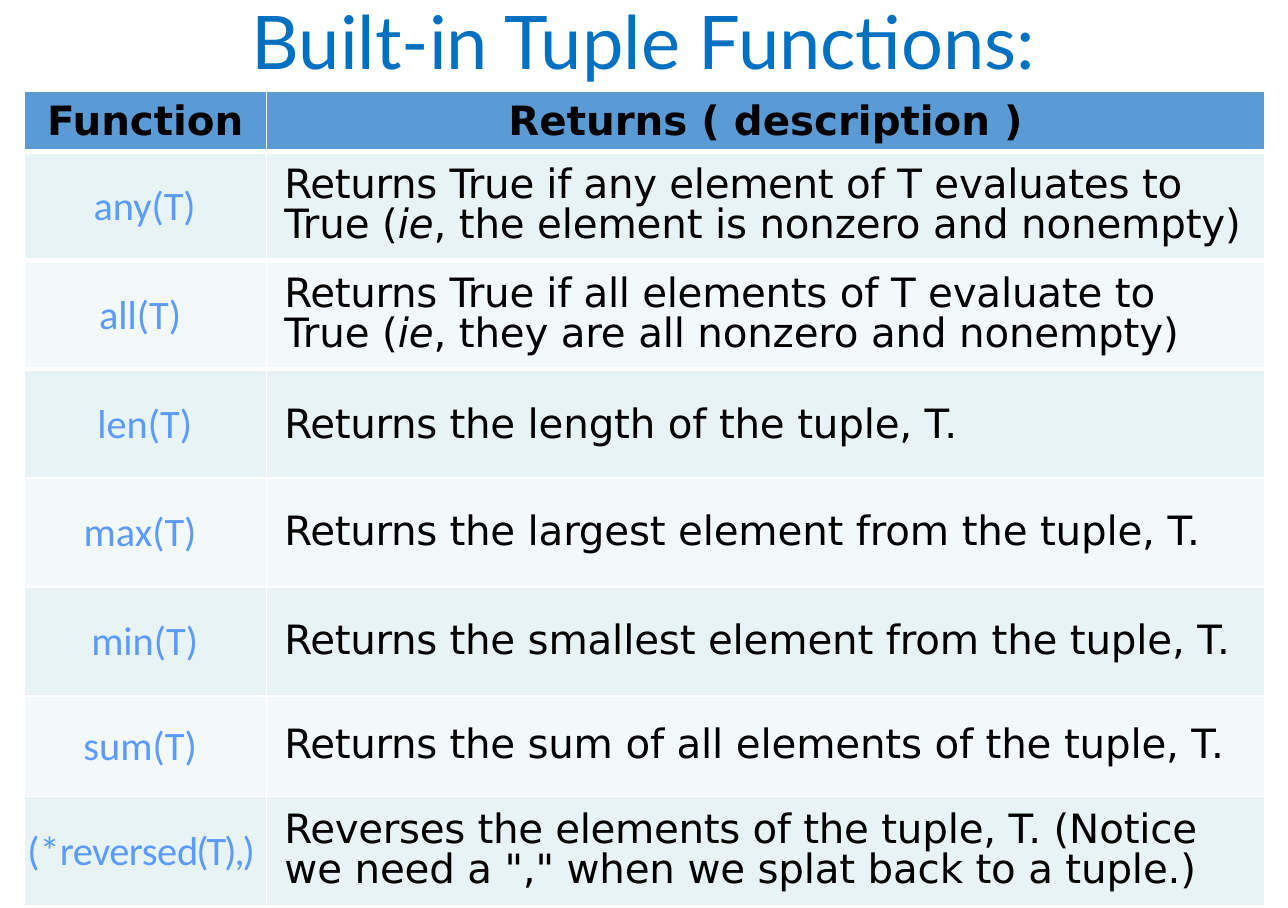
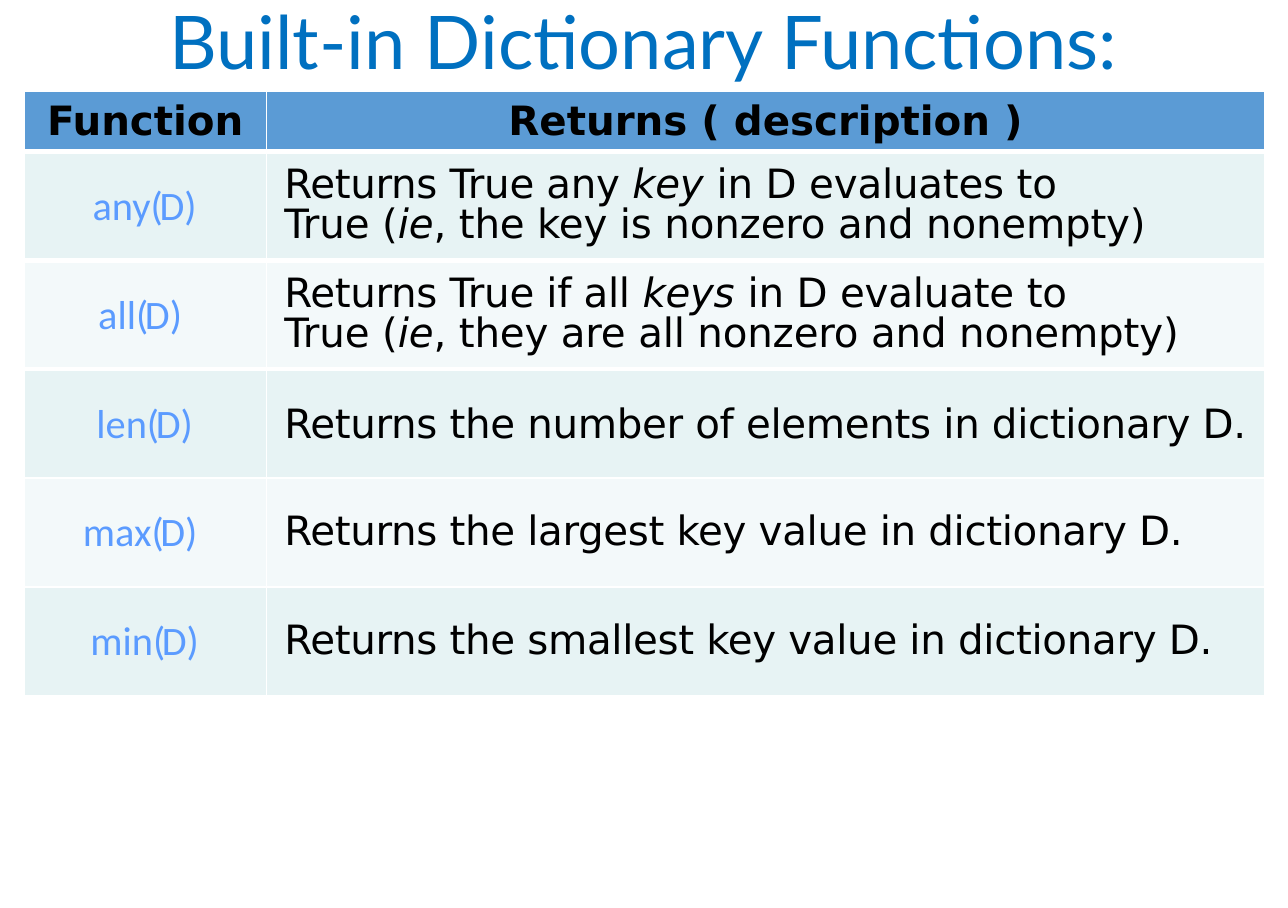
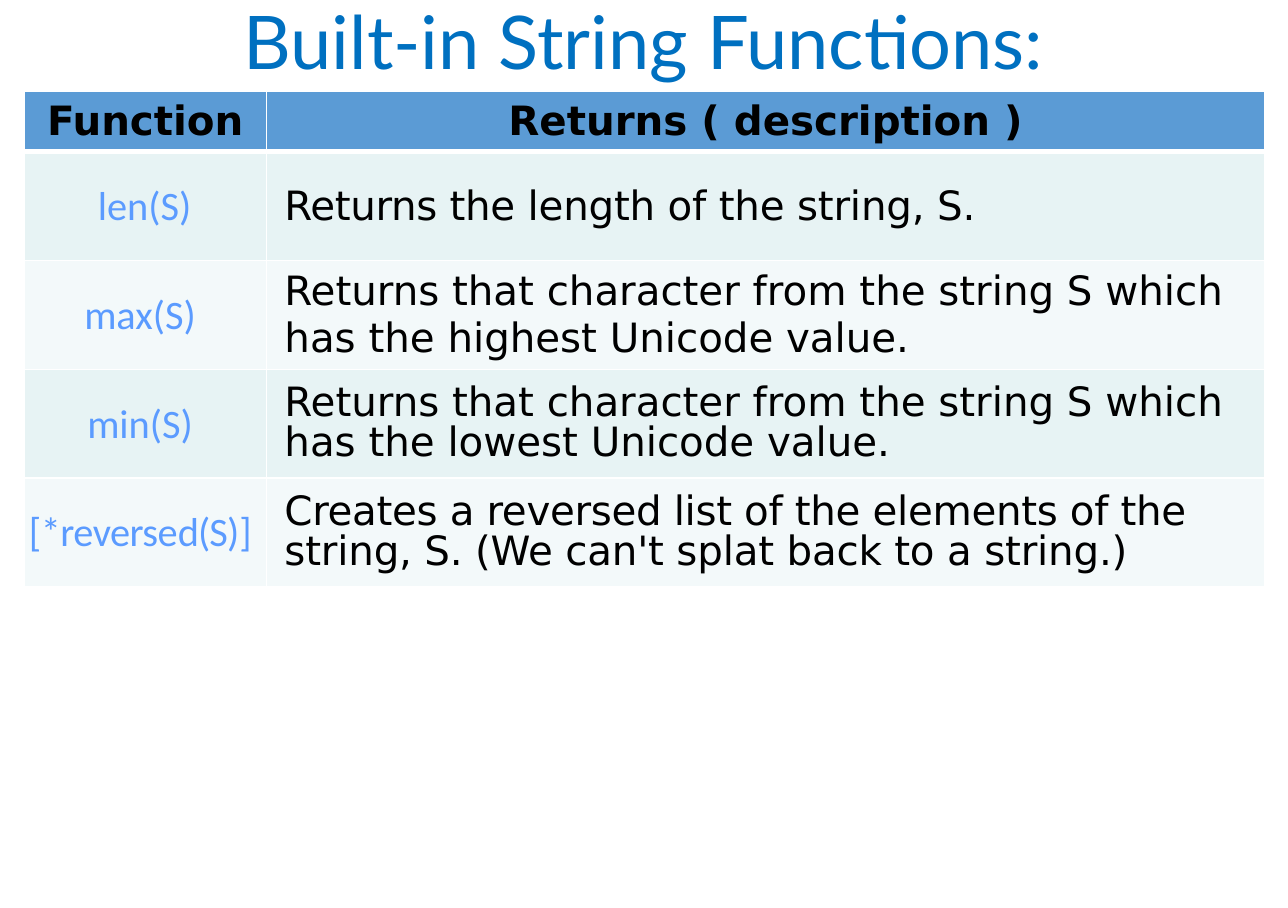
from dataclasses import dataclass

from lxml.etree import SubElement
from pptx import Presentation
from pptx.dml.color import RGBColor
from pptx.enum.text import MSO_ANCHOR as Anchor, MSO_AUTO_SIZE as AutoSize, PP_ALIGN as Align
from pptx.oxml.ns import qn
from pptx.util import Pt

WHITE = RGBColor(0xFF, 0xFF, 0xFF)
BLACK = RGBColor(0, 0, 0)
TITLE_BLUE = RGBColor(0x00, 0x70, 0xC0)
HEADER_BLUE = RGBColor(0x5B, 0x9B, 0xD5)
CALL_BLUE = RGBColor(0x5B, 0x9B, 0xFF)
BANDS = (RGBColor(0xE7, 0xF3, 0xF4), RGBColor(0xF3, 0xF9, 0xFA))

TITLE_FONT = {"name": "Lato", "size": Pt(44), "bold": False}
HEADER_FONT = {"name": "DejaVu Sans", "size": Pt(24), "bold": True}
CALL_FONT = {"name": "Calibri", "size": Pt(24), "bold": False}
TEXT_FONT = {"name": "DejaVu Sans", "size": Pt(24), "bold": False}

SLIDE_SIZE = (766.08, 540)
TITLE_BOX = (5, 0, 756, 54)
TABLE_BOX = (14.4, 54, 738)
CALL_WIDTH = 144
HEADER_HEIGHT = 36
THIN, THICK = 1, 3
HEADINGS = ("Function", "Returns ( description )")
HEADER_INSETS = {"margin_left": Pt(0.72), "margin_right": Pt(0.72),
                 "margin_top": Pt(0.72), "margin_bottom": 0}
CALL_INSETS = {**HEADER_INSETS, "margin_left": 0}
TEXT_INSETS = {**HEADER_INSETS, "margin_left": Pt(10.8)}


@dataclass
class Row:
    call: list
    head: str
    tail: str = ""
    leading: float = 0.85
    head_spacing: float = -0.2
    height: float = 64.8


def dictionary_call(name, ending=")"):
    return [(name, 0), ("(D", -2), (ending, 0)]


TUPLE_ROWS = [
    Row([("any(T)", 0)], "Returns True if any element ",
        "of T evaluates to True (_ie_, the element is nonzero and nonempty)"),
    Row([("all(T) ", 0)], "Returns True if all elements ",
        "of T evaluate to\nTrue (_ie_, they are all nonzero and nonempty)"),
    Row([("len(T)", 0)], "Returns the", " length of the tuple, T.", leading=1.0),
    Row([("max(T) ", 0)], "Returns the", " largest element from the tuple, T."),
    Row([("min(T)", 0)], "Returns the", " smallest element from the tuple, T."),
    Row([("sum(T) ", 0)], "Returns the ", "sum of all elements of the tuple, T.", height=59.8),
    Row([("(", -0.3), ("*", -1.5), ("reverse", -0.3), ("d(T),) ", -1.2)],
        "Reverses the elements of the",
        ' tuple, T. (Notice we need a "," when we splat back to a tuple.)'),
]
DICTIONARY_ROWS = [
    Row(dictionary_call("any"), "Returns True any _key_ ",
        "in D evaluates to \nTrue (_ie_, the key is nonzero and nonempty)"),
    Row(dictionary_call("all", ") "), "Returns True if all _keys_ ",
        "in D evaluate to\nTrue (_ie_, they are all nonzero and nonempty)"),
    Row(dictionary_call("len"), "Returns the number of elements in dictionary D.", leading=1.0),
    Row(dictionary_call("max", ") "), "Returns the largest key value in dictionary D."),
    Row(dictionary_call("min"), "Returns the smallest key value in dictionary D."),
]
STRING_ROWS = [
    Row([("len(S)", 0)], "Returns the ", "length of the string, S.", leading=1.0),
    Row([("max(S) ", 0)],
        "Returns that character from the string S which has the highest Unicode value.",
        leading=1.0, head_spacing=0),
    Row([("min(S) ", 0)],
        "Returns that character from the string S which has the lowest Unicode value.",
        head_spacing=0),
    Row([("[*reverse", -0.3), ("d(S)", -0.5), ("] ", -0.3)],
        "Creates a reversed list of the elements of the",
        " string, S. (We can't splat back to a string.)"),
]
SLIDES = [
    ("Built-in Tuple Functions:", TUPLE_ROWS, 3),
    ("Built-in Dictionary Functions:", DICTIONARY_ROWS, 3),
    ("Built-in String Functions:", STRING_ROWS, 1),
]


def apply(target, values):
    for name, value in values.items():
        setattr(target, name, value)


def add_span(para, text, font, color, spacing=0):
    span = para.add_run()
    span.text = text
    apply(span.font, font)
    span.font.color.rgb = color
    if spacing:
        span._r.get_or_add_rPr().set("spc", str(round(spacing * 100)))


def add_marked_text(para, text, spacing):
    for line_index, line in enumerate(text.split("\n")):
        if line_index:
            para.add_line_break()
        for index, part in enumerate(line.split("_")):
            if part:
                add_span(para, part, {**TEXT_FONT, "italic": index % 2 == 1}, BLACK, spacing)


def add_border(cell, side, width):
    line = SubElement(cell._tc.get_or_add_tcPr(), qn(f"a:{side}"), w=str(Pt(width)))
    fill = SubElement(line, qn("a:solidFill"))
    SubElement(fill, qn("a:srgbClr"), val=str(WHITE))


def format_cell(cell, color, insets, top, bottom):
    for side, width in (("lnL", THIN), ("lnR", THIN), ("lnT", top), ("lnB", bottom)):
        add_border(cell, side, width)
    cell.fill.solid()
    cell.fill.fore_color.rgb = color
    apply(cell, {**insets, "vertical_anchor": Anchor.MIDDLE})
    return cell.text_frame.paragraphs[0]


def add_title(page, text, box):
    title = page.shapes.title
    apply(title, dict(zip(("left", "top", "width", "height"), map(Pt, box))))
    apply(title.text_frame, {"vertical_anchor": Anchor.MIDDLE, "word_wrap": True,
                             "auto_size": AutoSize.NONE})
    para = title.text_frame.paragraphs[0]
    apply(para, {"alignment": Align.CENTER, "line_spacing": 0.9})
    add_span(para, text, TITLE_FONT, TITLE_BLUE)


def add_function_table(page, rows, thick_lines, box):
    left, top, width = box
    heights = [HEADER_HEIGHT] + [row.height for row in rows]
    frame = page.shapes.add_table(len(heights), 2, Pt(left), Pt(top), Pt(width), Pt(sum(heights)))
    table = frame.table
    for column, size in zip(table.columns, (CALL_WIDTH, width - CALL_WIDTH)):
        column.width = Pt(size)
    for line, height in zip(table.rows, heights):
        line.height = Pt(height)

    borders = [THIN] + [THICK if index < thick_lines else THIN for index in range(len(heights))]
    for column, heading in enumerate(HEADINGS):
        para = format_cell(table.cell(0, column), HEADER_BLUE, HEADER_INSETS, *borders[:2])
        para.alignment = Align.CENTER
        add_span(para, heading, HEADER_FONT, BLACK)

    for index, row in enumerate(rows, 1):
        band = BANDS[(index - 1) % 2]
        edges = borders[index:index + 2]
        para = format_cell(table.cell(index, 0), band, CALL_INSETS, *edges)
        para.alignment = Align.CENTER
        for text, spacing in row.call:
            add_span(para, text, CALL_FONT, CALL_BLUE, spacing)
        para = format_cell(table.cell(index, 1), band, TEXT_INSETS, *edges)
        apply(para, {"alignment": Align.LEFT, "line_spacing": row.leading})
        add_marked_text(para, row.head, row.head_spacing)
        add_marked_text(para, row.tail, -0.1)


def main():
    deck = Presentation()
    deck.slide_width, deck.slide_height = map(Pt, SLIDE_SIZE)
    for title, rows, thick_lines in SLIDES:
        page = deck.slides.add_slide(deck.slide_layouts[5])
        add_function_table(page, rows, thick_lines, TABLE_BOX)
        add_title(page, title, TITLE_BOX)
    deck.save("out.pptx")


if __name__ == "__main__":
    main()
